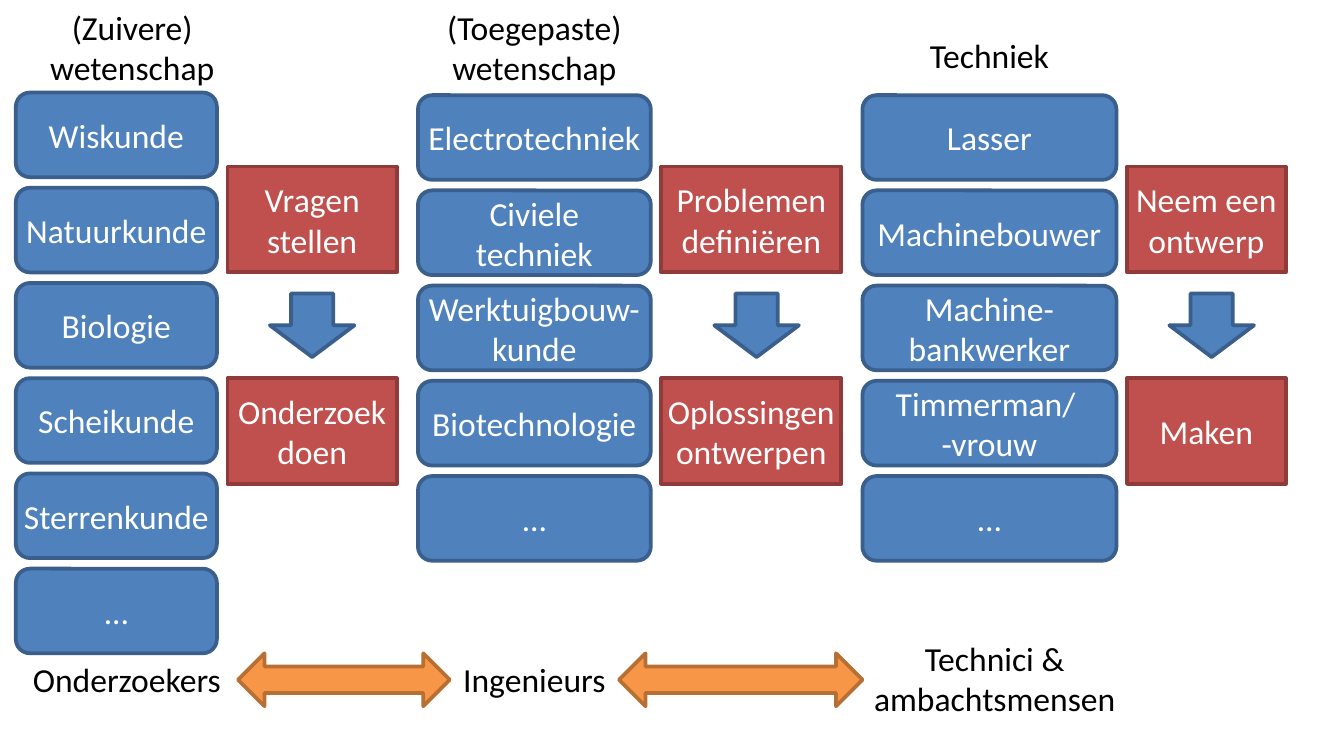
import pptx
import pptx.util
import pptx.dml.color
import pptx.enum.shapes
import pptx.enum.text

Cm, Pt = pptx.util.Cm, pptx.util.Pt
Kind = pptx.enum.shapes.MSO_SHAPE
Align = pptx.enum.text.PP_ALIGN
Anchor = pptx.enum.text.MSO_ANCHOR

HUES = {
    "blue": ("4F81BD", "3A5F8C"),
    "red": ("C0504D", "8E3B39"),
    "orange": ("F79646", "B76F34"),
    "white": "FFFFFF",
    "black": "000000",
}

FIELDS = [
    {
        "head": ("(Zuivere) wetenschap", (0, 0, 5, 1.8)),
        "list": ["Wiskunde", "Natuurkunde", "Biologie", "Scheikunde", "Sterrenkunde", "…"],
        "left": 0.3, "top": 1.75, "width": 3.8,
        "steps": ["Vragen stellen", "Onderzoek doen"],
        "span": 3.2, "arrow": 5.1,
        "foot": ("Onderzoekers", (0.3, 12.33, 4.2, 1.03)),
    },
    {
        "head": ("(Toegepaste) wetenschap", (7.9, 0, 4.4, 1.8)),
        "list": ["Electrotechniek", "Civiele techniek", "Werktuigbouw-kunde", "Biotechnologie", "…"],
        "left": 7.9, "top": 1.8, "width": 4.4,
        "steps": ["Problemen definiëren", "Oplossingen ontwerpen"],
        "span": 3.4, "arrow": 13.5,
        "foot": ("Ingenieurs", (7.7, 12.33, 4.8, 1.03)),
    },
    {
        "head": ("Techniek", (16.3, 0.53, 4.8, 1.03)),
        "list": ["Lasser", "Machinebouwer", "Machine-bankwerker", "Timmerman/ \v-vrouw", "…"],
        "left": 16.3, "top": 1.8, "width": 4.8,
        "steps": ["Neem een ontwerp", "Maken"],
        "span": 3, "arrow": 22.1,
        "foot": ("Technici &\nambachtsmensen", (16.1, 11.93, 5.4, 1.8)),
    },
]
LINKS = [(4.5, 4), (11.7, 4.6)]
TIGHT = {"Sterrenkunde"}

HIGH, GAP = 1.6, 0.2
STEP_TOP, STEP_HIGH, STEP_GAP = 3.15, 2, 4


def paint(name):
    return pptx.dml.color.RGBColor.from_string(name)


def write(shape, text, hue):
    frame = shape.text_frame
    frame.word_wrap = True
    frame.text = text
    for para in frame.paragraphs:
        para.alignment = Align.CENTER
        for run in para.runs:
            run.font.name = "Calibri"
            run.font.size = Pt(18)
            run.font.color.rgb = paint(HUES[hue])


def label(slide, text, area):
    write(slide.shapes.add_textbox(*map(Cm, area)), text, "black")


def block(slide, kind, area, hue, text=""):
    shape = slide.shapes.add_shape(kind, *map(Cm, area))
    fill, edge = HUES[hue]
    shape.shadow.inherit = False
    shape.fill.solid()
    shape.fill.fore_color.rgb = paint(fill)
    shape.line.color.rgb = paint(edge)
    shape.line.width = Pt(2)
    if text:
        frame = shape.text_frame
        frame.vertical_anchor = Anchor.MIDDLE
        frame.margin_top = frame.margin_bottom = Cm(0.1)
        frame.margin_left = frame.margin_right = Cm(0 if text in TIGHT else 0.1)
        write(shape, text, "white")


def column(slide, field):
    left, wide = field["left"], field["width"]
    label(slide, *field["head"])
    for row, text in enumerate(field["list"]):
        top = field["top"] + row * (HIGH + GAP)
        block(slide, Kind.ROUNDED_RECTANGLE, (left, top, wide, HIGH), "blue", text)
    side = left + wide + GAP
    for row, text in enumerate(field["steps"]):
        top = STEP_TOP + row * STEP_GAP
        block(slide, Kind.RECTANGLE, (side, top, field["span"], STEP_HIGH), "red", text)
    block(slide, Kind.DOWN_ARROW, (field["arrow"], 5.55, 1.6, 1.2), "blue")
    label(slide, *field["foot"])


def main():
    deck = pptx.Presentation()
    deck.slide_width, deck.slide_height = Cm(25.4), Cm(14.29)
    slide = deck.slides.add_slide(deck.slide_layouts[6])
    for field in FIELDS:
        column(slide, field)
    for left, wide in LINKS:
        block(slide, Kind.LEFT_RIGHT_ARROW, (left, 12.35, wide, 1), "orange")
    deck.save("out.pptx")


if __name__ == "__main__":
    main()
